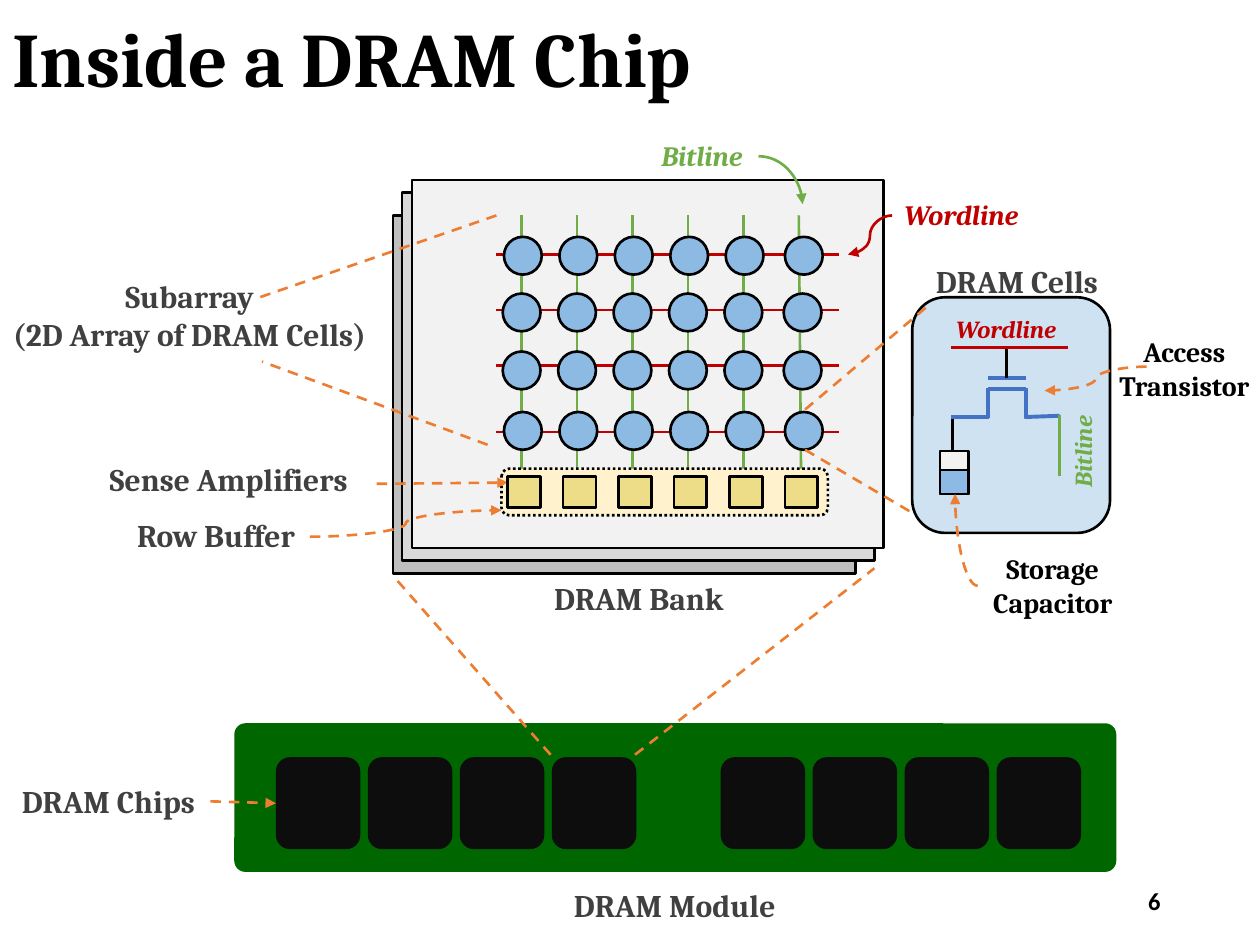
import lxml.etree
import pptx
import pptx.dml.color
import pptx.enum.dml
import pptx.enum.shapes
import pptx.enum.text
import pptx.oxml.ns
import pptx.util

Inches = pptx.util.Inches
Pt = pptx.util.Pt
SHAPE = pptx.enum.shapes.MSO_SHAPE
LINK = pptx.enum.shapes.MSO_CONNECTOR
DASH = pptx.enum.dml.MSO_LINE
ALIGN = pptx.enum.text.PP_ALIGN
ANCHOR = pptx.enum.text.MSO_ANCHOR
qn = pptx.oxml.ns.qn

BLACK, GREY, ORANGE, GREEN, RED, BLUE = (
    "000000", "404040", "ED7D31", "70AD47", "C00000", "4472C4")
PITCH = 0.44
COLUMNS = 6


def paint(fmt, color):
    """Give a fill or font colour format a solid hex colour."""
    if hasattr(fmt, "solid"):
        fmt.solid()
        fmt = fmt.fore_color
    fmt.rgb = pptx.dml.color.RGBColor.from_string(color)


def add_box(s, kind, x, y, w, h, fill, line=None, dash=None):
    """Add a filled preset shape with an optional outline."""
    sp = s.shapes.add_shape(kind, Inches(x), Inches(y), Inches(w), Inches(h))
    sp.shadow.inherit = False
    paint(sp.fill, fill)
    if line:
        paint(sp.line.fill, line)
        sp.line.width = Pt(1.5)
        if dash:
            sp.line.dash_style = dash
    else:
        sp.line.fill.background()
    return sp


def add_text(s, text, x, y, w, h, size=18, color=GREY, font="Cambria", italic=False,
             align=ALIGN.CENTER, anchor=ANCHOR.TOP, wrap=False, spacing=None):
    """Add a bold text box with one paragraph for each line of text."""
    sp = s.shapes.add_textbox(Inches(x), Inches(y), Inches(w), Inches(h))
    tf = sp.text_frame
    tf.word_wrap = wrap
    tf.vertical_anchor = anchor
    for i, line in enumerate(text.split("\n")):
        p = tf.add_paragraph() if i else tf.paragraphs[0]
        p.alignment = align
        p.line_spacing = spacing
        r = p.add_run()
        r.text = line
        r.font.name, r.font.size = font, Pt(size)
        r.font.bold, r.font.italic = True, italic
        paint(r.font.color, color)
    return sp


def add_line(s, x1, y1, x2, y2, color, width=1.5, dash=False, arrow=False, curve=None):
    """Add a straight line, or a curve named by its connector preset."""
    kind = LINK.CURVE if curve else LINK.STRAIGHT
    c = s.shapes.add_connector(kind, Inches(x1), Inches(y1), Inches(x2), Inches(y2))
    paint(c.line.fill, color)
    c.line.width = Pt(width)
    if dash:
        c.line.dash_style = DASH.DASH
    if arrow:
        lxml.etree.SubElement(c.line._get_or_add_ln(), qn("a:tailEnd"), type="triangle")
    props = c._element.spPr
    if curve:
        props.find(qn("a:prstGeom")).set("prst", curve)
    lxml.etree.SubElement(props, qn("a:effectLst"))
    return c


def add_module(s, x, y):
    """Draw the module board, its two groups of chips and its labels."""
    board = add_box(s, SHAPE.ROUNDED_RECTANGLE, x, y, 7, 1.18, "006600")
    board.adjustments[0] = 0.075
    chips = [add_box(s, SHAPE.ROUNDED_RECTANGLE, x + start + 0.73 * i, y + 0.27,
                     0.67, 0.73, "0D0D0D")
             for start in (0.33, 3.86) for i in range(4)]
    add_text(s, "DRAM Module", x + 2.57, y + 1.24, 1.85, 0.4)
    label = add_text(s, "DRAM Chips", x - 1.81, y + 0.42, 1.62, 0.4)
    c = add_line(s, x - 0.19, y + 0.62, x + 0.33, y + 0.63, ORANGE, dash=True, arrow=True)
    c.begin_connect(label, 3)
    c.end_connect(chips[0], 1)


def add_bank(s, x, y):
    """Draw the stacked sheets of the bank and the caption below."""
    for dx, dy, w, h, fill in ((0, 0.28, 3.67, 2.84, "BFBFBF"),
                               (0.07, 0.1, 3.75, 2.92, "D9D9D9"),
                               (0.15, 0, 3.74, 2.92, "F2F2F2")):
        add_box(s, SHAPE.RECTANGLE, x + dx, y + dy, w, h, fill, BLACK)
    add_text(s, "DRAM Bank", x + 1.16, y + 3.12, 1.58, 0.4)


def add_subarray(s, x, y):
    """Draw the grid of cells, the row buffer and the labels around them."""
    for i in range(COLUMNS):
        left = x + 0.2 + PITCH * i
        lean = 0.02 if i == COLUMNS - 1 else 0
        add_line(s, left, y, left + lean, y + 2.31, GREEN)
    rows = ((0.31, 0.06, 0.17), (0.75, 0.05, 0.62), (1.19, 0.05, 1.08), (1.72, 0.06, 1.56))
    for wordline, _, _ in rows:
        add_line(s, x, y + wordline, x + 2.72, y + wordline, RED)
    for _, dx, dy in rows:
        for i in range(COLUMNS):
            shift = 0.03 if i == COLUMNS - 1 else 0
            add_box(s, SHAPE.OVAL, x + dx + PITCH * i + shift, y + dy, 0.3, 0.3,
                    "8DBAE3", BLACK)
    add_box(s, SHAPE.ROUNDED_RECTANGLE, x + 0.04, y + 2.01, 2.59, 0.37,
            "FFF2CC", BLACK, DASH.ROUND_DOT)
    add_line(s, x - 0.95, y + 2.13, x + 0.09, y + 2.12, ORANGE, dash=True, arrow=True)
    for i in range(COLUMNS):
        add_box(s, SHAPE.RECTANGLE, x + 0.09 + PITCH * i, y + 2.07, 0.26, 0.25,
                "EEDD88", BLACK)
    add_line(s, x - 1.48, y + 2.55, x + 0.04, y + 2.34, ORANGE, dash=True, arrow=True,
             curve="curvedConnector3")
    add_line(s, x + 2.08, y - 0.47, x + 2.43, y - 0.09, GREEN, arrow=True,
             curve="curvedConnector2")
    add_line(s, x + 3.14, y, x + 2.79, y + 0.31, RED, arrow=True, curve="curvedConnector3")
    add_text(s, "Bitline", x + 1.21, y - 0.66, 0.87, 0.37, 16, GREEN, italic=True,
             align=ALIGN.LEFT)
    add_text(s, "Wordline", x + 3.14, y - 0.19, 1.13, 0.37, 16, RED, italic=True,
             align=ALIGN.LEFT)
    add_text(s, "Subarray\n(2D Array of DRAM Cells)", x - 3.99, y + 0.44, 3.11, 0.71, wrap=True)
    add_text(s, "Sense Amplifiers", x - 3.2, y + 1.89, 2.15, 0.4)
    add_text(s, "Row Buffer", x - 2.97, y + 2.34, 1.49, 0.4)


def add_cell(s, x, y):
    """Draw the enlarged cell with its transistor, capacitor and labels."""
    add_box(s, SHAPE.ROUNDED_RECTANGLE, x, y, 1.57, 1.87, "CEE2F2", BLACK)
    add_line(s, x + 0.32, y + 0.94, x + 0.32, y + 1.25, BLACK)
    add_box(s, SHAPE.RECTANGLE, x + 0.22, y + 1.22, 0.23, 0.34, "F2F2F2", BLACK)
    add_box(s, SHAPE.RECTANGLE, x + 0.22, y + 1.37, 0.23, 0.19, "8DBAE4", BLACK)
    for x1, y1, x2, y2, color, width in (
            (0.31, 0.95, 0.61, 0.95, BLUE, 2.25), (0.6, 0.73, 0.9, 0.73, BLUE, 2.25),
            (0.6, 0.96, 0.6, 0.72, BLUE, 2.25), (0.9, 0.96, 0.9, 0.72, BLUE, 2.25),
            (0.89, 0.95, 1.17, 0.94, BLUE, 2.25), (0.6, 0.64, 0.9, 0.64, BLUE, 2.25),
            (0.75, 0.64, 0.75, 0.4, BLACK, 1.5), (0.31, 0.4, 1.24, 0.4, RED, 1.5),
            (1.17, 0.93, 1.17, 1.42, GREEN, 1.5)):
        add_line(s, x + x1, y + y1, x + x2, y + y2, color, width)
    add_text(s, "Wordline", x + 0.25, y + 0.08, 1.01, 0.34, 14, RED, italic=True,
             align=ALIGN.LEFT)
    bitline = add_text(s, "Bitline", x + 0.96, y + 1.04, 0.79, 0.34, 14, GREEN, italic=True,
                       align=ALIGN.LEFT)
    bitline.rotation = 270
    add_text(s, "DRAM Cells", x + 0.09, y - 0.33, 1.53, 0.4, align=ALIGN.LEFT)
    add_text(s, "Access\nTransistor", x + 1.52, y + 0.25, 1.28, 0.64, 16, BLACK)
    add_text(s, "Storage\nCapacitor", x + 0.52, y + 1.97, 1.19, 0.64, 16, BLACK)
    add_line(s, x + 1.86, y + 0.55, x + 1.05, y + 0.74, ORANGE, dash=True, arrow=True,
             curve="curvedConnector3")
    add_line(s, x + 0.52, y + 2.29, x + 0.34, y + 1.56, ORANGE, dash=True, arrow=True,
             curve="curvedConnector2")


def add_zoom_lines(s):
    """Draw the dashed lines that lead from one region to the next."""
    for ends in ((4.37, 5.99, 3.12, 4.57), (5.04, 5.99, 6.94, 4.51),
                 (6.39, 3.25, 7.35, 2.44), (6.39, 3.57, 7.24, 4.07),
                 (3.94, 1.71, 2.06, 2.36), (3.87, 3.53, 2.08, 2.87)):
        add_line(s, *ends, ORANGE, dash=True)


def main():
    """Build the slide and save it."""
    prs = pptx.Presentation()
    prs.slide_width, prs.slide_height = Inches(10), Inches(7.5)
    s = prs.slides.add_slide(prs.slide_layouts[6])
    add_text(s, "Inside a DRAM Chip", 0, 0.09, 9.83, 0.81, 44, BLACK, align=ALIGN.LEFT,
             anchor=ANCHOR.MIDDLE, wrap=True, spacing=0.9)
    add_module(s, 1.86, 5.74)
    add_bank(s, 3.12, 1.43)
    add_subarray(s, 3.94, 1.71)
    add_cell(s, 7.24, 2.36)
    add_zoom_lines(s)
    add_text(s, "6", 7.06, 6.95, 2.25, 0.4, 14, BLACK, "Calibri", align=ALIGN.RIGHT,
             anchor=ANCHOR.MIDDLE, wrap=True)
    prs.save("out.pptx")


if __name__ == "__main__":
    main()
